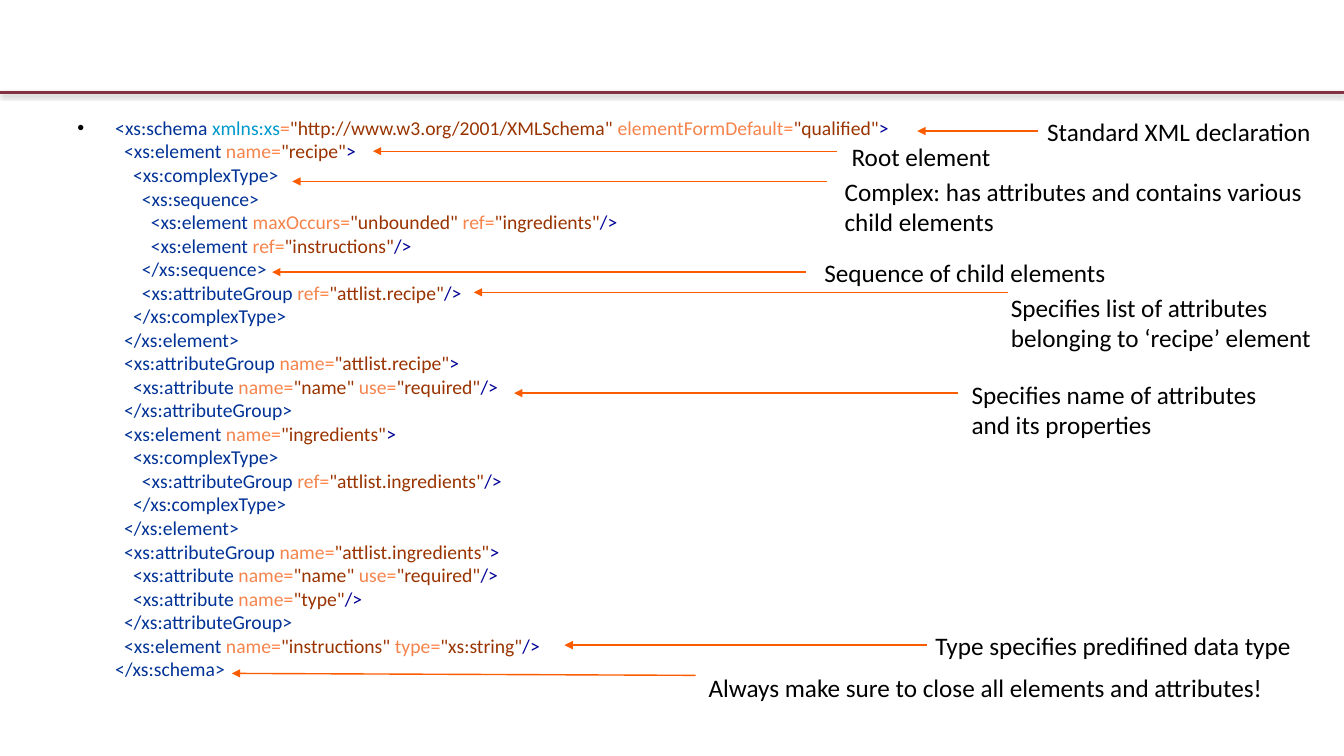
from lxml.etree import SubElement
from pptx import Presentation
from pptx.dml.color import RGBColor
from pptx.enum.shapes import MSO_CONNECTOR
from pptx.oxml.ns import qn
from pptx.util import Pt

FONT = "Calibri"
BLACK, ORANGE, MAROON = "000000", "FC5C00", "843144"
TAG, ATTRIBUTE, NAMESPACE = "003296", "F5844C", "0099CC"
EQUALS, VALUE, BRACKET = "FF8040", "993300", "000096"

SCHEMA = [
    '<xs:schema xmlns:xs="http://www.w3.org/2001/XMLSchema" elementFormDefault="qualified">',
    '  <xs:element name="recipe">',
    '    <xs:complexType>',
    '      <xs:sequence>',
    '        <xs:element maxOccurs="unbounded" ref="ingredients"/>',
    '        <xs:element ref="instructions"/>',
    '      </xs:sequence>',
    '      <xs:attributeGroup ref="attlist.recipe"/>',
    '    </xs:complexType>',
    '  </xs:element>',
    '  <xs:attributeGroup name="attlist.recipe">',
    '    <xs:attribute name="name" use="required"/>',
    '  </xs:attributeGroup>',
    '  <xs:element name="ingredients">',
    '    <xs:complexType>',
    '      <xs:attributeGroup ref="attlist.ingredients"/>',
    '    </xs:complexType>',
    '  </xs:element>',
    '  <xs:attributeGroup name="attlist.ingredients">',
    '    <xs:attribute name="name" use="required"/>',
    '    <xs:attribute name="type"/>',
    '  </xs:attributeGroup>',
    '  <xs:element name="instructions" type="xs:string"/>',
    '</xs:schema>',
]

NOTES = [
    (["Standard XML declaration"], (740.9, 79.2, 216, 25), (655.2, 93.6), (741.6, 93.6)),
    (["Root element"], (601.2, 97.2, 118.8, 25), (266.4, 108), (597.6, 108)),
    (["Complex: has attributes and contains various", "child elements"],
     (596.2, 122.4, 359.3, 43), (208.8, 129.6), (590.4, 129.6)),
    (["Sequence of child elements"], (581.8, 180, 223.2, 25), (194.4, 194.4), (576, 194.4)),
    (["Specifies list of attributes", "belonging to ‘recipe’ element"],
     (715, 205.2, 237.6, 43), (338.4, 208.8), (720, 208.8)),
    (["Specifies name of attributes", "and its properties"],
     (686.9, 267.1, 231.1, 43), (367.2, 280.8), (684, 280.8)),
    (["Type specifies predifined data type"],
     (661, 446.4, 282.2, 25), (403.2, 460.8), (662.4, 460.8)),
    (["Always make sure to close all elements and attributes!"],
     (499, 476.6, 425.5, 25), (165.6, 481), (496.8, 482.4)),
]


def rgb(value):
    """Turn a hex string into a colour."""
    return RGBColor.from_string(value)


def add_run(paragraph, text, size, color):
    """Append one formatted run."""
    run = paragraph.add_run()
    run.text = text
    run.font.name = FONT
    run.font.size = Pt(size)
    run.font.color.rgb = rgb(color)


def add_text_frame(slide, box):
    """Add a wrapping text box and return its frame."""
    frame = slide.shapes.add_textbox(*map(Pt, box)).text_frame
    frame.word_wrap = True
    return frame


def add_line(slide, start, end, color, width):
    """Draw a straight line and return it with its empty effect list."""
    line = slide.shapes.add_connector(MSO_CONNECTOR.STRAIGHT, *map(Pt, start + end))
    line.line.color.rgb = rgb(color)
    line.line.width = Pt(width)
    effects = SubElement(line._element.spPr, qn("a:effectLst"))
    return line, effects


def add_header_rule(slide, box):
    """Draw the shadowed rule along the bottom of the header box."""
    left, top, width, height = box
    bottom = top + height
    effects = add_line(slide, (left, bottom), (left + width, bottom), MAROON, 2.5)[1]
    shadow = SubElement(effects, qn("a:outerShdw"), blurRad=str(Pt(3.1)),
                        dist=str(Pt(1.6)), dir="5400000", rotWithShape="0")
    shade = SubElement(shadow, qn("a:srgbClr"), val=BLACK)
    SubElement(shade, qn("a:alpha"), val="38000")


def color_tokens(line):
    """Yield the pieces of one schema line with their colours."""
    code = line.lstrip()
    if code != line:
        yield line[:len(line) - len(code)], BLACK
    tag, *attributes = code.split(" ")
    yield tag, TAG
    for attribute in attributes:
        name, equals, rest = attribute.partition("=")
        value, quote, bracket = rest.rpartition('"')
        yield " " + name, NAMESPACE if name == "xmlns:xs" else ATTRIBUTE
        yield equals, EQUALS
        yield value + quote, VALUE
        if bracket:
            yield bracket, BRACKET


def add_schema(slide, box):
    """Write the coloured schema as one bulleted paragraph."""
    paragraph = add_text_frame(slide, box).paragraphs[0]
    properties = paragraph._p.get_or_add_pPr()
    properties.set("marL", str(Pt(27)))
    properties.set("indent", str(-Pt(27)))
    bullet_color = SubElement(properties, qn("a:buClr"))
    SubElement(bullet_color, qn("a:srgbClr"), val=BLACK)
    SubElement(properties, qn("a:buFont"), typeface="Arial")
    SubElement(properties, qn("a:buChar"), char="•")
    paragraph.line_spacing = Pt(16.8)
    for number, line in enumerate(SCHEMA):
        if number:
            paragraph.add_line_break()
        for text, color in color_tokens(line):
            add_run(paragraph, text, 14, color)


def add_note(slide, box, lines, tip, tail):
    """Place a note and the arrow from it to the code."""
    arrow = add_line(slide, tip, tail, ORANGE, 1)[0]
    SubElement(arrow._element.spPr.find(qn("a:ln")), qn("a:headEnd"), type="triangle")
    frame = add_text_frame(slide, box)
    for number, line in enumerate(lines):
        paragraph = frame.add_paragraph() if number else frame.paragraphs[0]
        add_run(paragraph, line, 18, BLACK)


def main():
    """Build and save the slide."""
    presentation = Presentation()
    presentation.slide_width, presentation.slide_height = Pt(960), Pt(540)
    slide = presentation.slides.add_slide(presentation.slide_layouts[6])
    add_header_rule(slide, (0, 0, 960, 66.24))
    add_schema(slide, (48.24, 79.2, 907.2, 439.9))
    for lines, box, tip, tail in NOTES:
        add_note(slide, box, lines, tip, tail)
    presentation.save("out.pptx")


if __name__ == "__main__":
    main()
